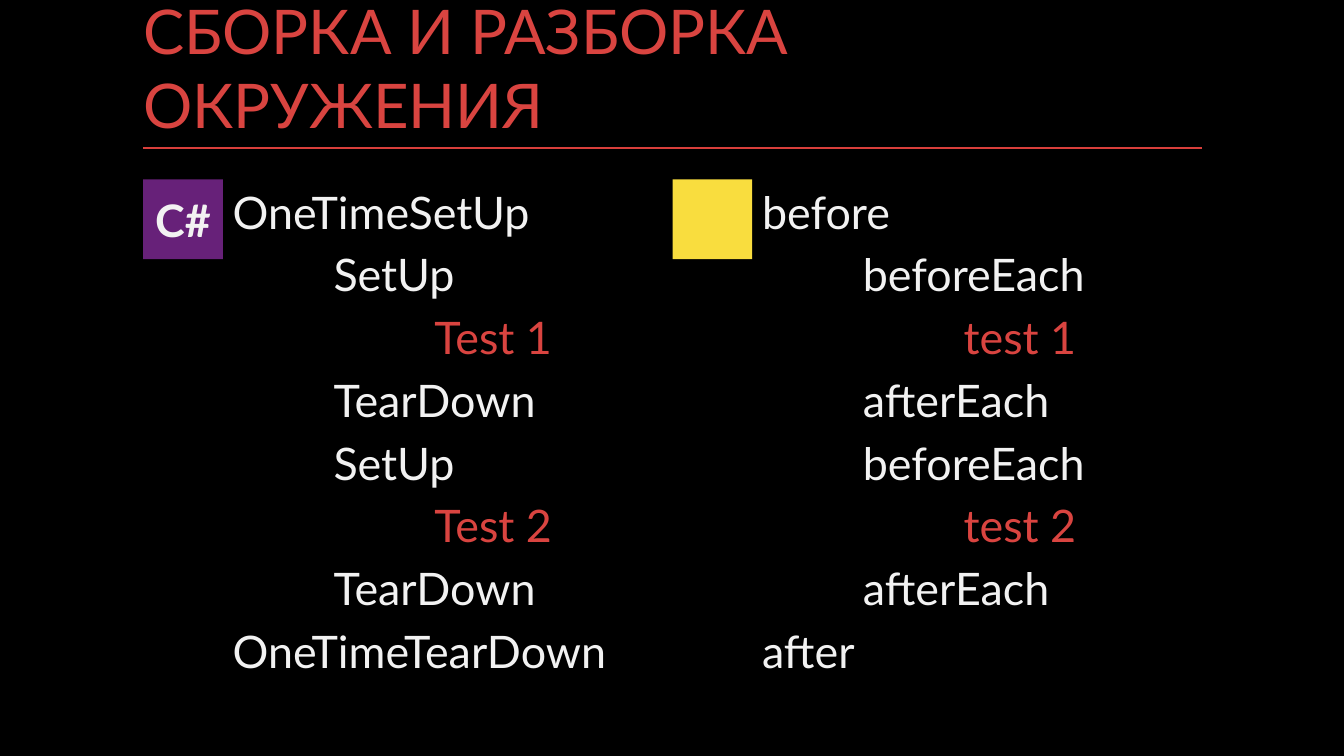
from lxml import etree
from pptx import Presentation
from pptx import util as u
from pptx.dml.color import RGBColor
from pptx.enum import shapes, text
from pptx.oxml.ns import qn

COLORS = {
    "background": "000000",
    "title": "D94440",
    "rule": "D83F3B",
    "body": "F2F2F2",
    "test": "D94440",
    "csharp": "672179",
    "js": "F9DD3E",
}
FONT = "Lato"
LEFT, WIDTH = 1.42, 10.5
COLUMN_TOP, COLUMN_STEP = 1.78, 5.25
BADGE = 0.79
INDENT = 1

# Indent level of each call, from the outer setup to the outer teardown
LEVELS = [0, 1, 2, 1, 1, 2, 1, 0]
COLUMNS = [
    ("C#", "csharp",
     ["OneTimeSetUp", "SetUp", "Test 1", "TearDown",
      "SetUp", "Test 2", "TearDown", "OneTimeTearDown"]),
    (None, "js",
     ["before", "beforeEach", "test 1", "afterEach",
      "beforeEach", "test 2", "afterEach", "after"]),
]


def rgb(name):
    return RGBColor.from_string(COLORS[name])


def write(p, words, size=32, color="body", bold=False,
          align=text.PP_ALIGN.LEFT, before=0, level=0):
    p.alignment = align
    p.space_before = u.Pt(before)
    if level:
        p._p.get_or_add_pPr().set("marL", str(u.Inches(level * INDENT)))
    r = p.add_run()
    r.text = words
    r.font.name = FONT
    r.font.size = u.Pt(size)
    r.font.bold = bold
    r.font.color.rgb = rgb(color)


def add_title(s, words, left, top, width, height):
    """Place the title on its box, with a rule along the bottom edge."""
    line = s.shapes.add_connector(
        shapes.MSO_CONNECTOR.STRAIGHT, u.Inches(left), u.Inches(top + height),
        u.Inches(left + width), u.Inches(top + height))
    line.line.color.rgb = rgb("rule")
    line.line.width = u.Pt(1)
    etree.SubElement(line._element.spPr, qn("a:effectLst"))

    sp = s.shapes.title
    sp.left, sp.top = u.Inches(left), u.Inches(top)
    sp.width, sp.height = u.Inches(width), u.Inches(height)
    tf = sp.text_frame
    tf.auto_size = text.MSO_AUTO_SIZE.NONE
    tf.word_wrap = True
    tf.vertical_anchor = text.MSO_ANCHOR.BOTTOM
    tf.margin_left = tf.margin_right = 0
    tf.margin_top = tf.margin_bottom = u.Inches(0.07)
    write(tf.paragraphs[0], words, size=44, color="title")


def add_badge(s, words, fill, left, top, side):
    """Draw a plain square, lettered only when words are given."""
    sp = s.shapes.add_shape(
        shapes.MSO_SHAPE.RECTANGLE, u.Inches(left), u.Inches(top),
        u.Inches(side), u.Inches(side))
    sp.shadow.inherit = False
    sp.fill.solid()
    sp.fill.fore_color.rgb = rgb(fill)
    sp.line.fill.background()
    if words:
        tf = sp.text_frame
        tf.word_wrap = False
        tf.vertical_anchor = text.MSO_ANCHOR.MIDDLE
        write(tf.paragraphs[0], words, bold=True, align=text.PP_ALIGN.CENTER)


def add_calls(s, calls, left, top, width, height):
    """List the calls in order, each indented to its nesting level."""
    sp = s.shapes.add_textbox(
        u.Inches(left), u.Inches(top), u.Inches(width), u.Inches(height))
    tf = sp.text_frame
    tf.word_wrap = True
    for i, (call, level) in enumerate(zip(calls, LEVELS)):
        p = tf.add_paragraph() if i else tf.paragraphs[0]
        write(p, call, color="test" if level == 2 else "body",
              before=6.4, level=level)


def add_column(s, column, left, top, width, height):
    label, fill, calls = column
    add_calls(s, calls, left + BADGE, top, width - BADGE, height)
    add_badge(s, label, fill, left, top, BADGE)


def main():
    prs = Presentation()
    prs.slide_width, prs.slide_height = u.Inches(13.33), u.Inches(7.5)
    s = prs.slides.add_slide(prs.slide_layouts.get_by_name("Title Only"))
    s.background.fill.solid()
    s.background.fill.fore_color.rgb = rgb("background")
    add_title(s, "СБОРКА И РАЗБОРКА ОКРУЖЕНИЯ", LEFT, 0.6, WIDTH, 0.87)
    for i, column in enumerate(COLUMNS):
        add_column(s, column, LEFT + i * COLUMN_STEP, COLUMN_TOP,
                   COLUMN_STEP, 5.12)
    prs.save("out.pptx")


if __name__ == "__main__":
    main()
